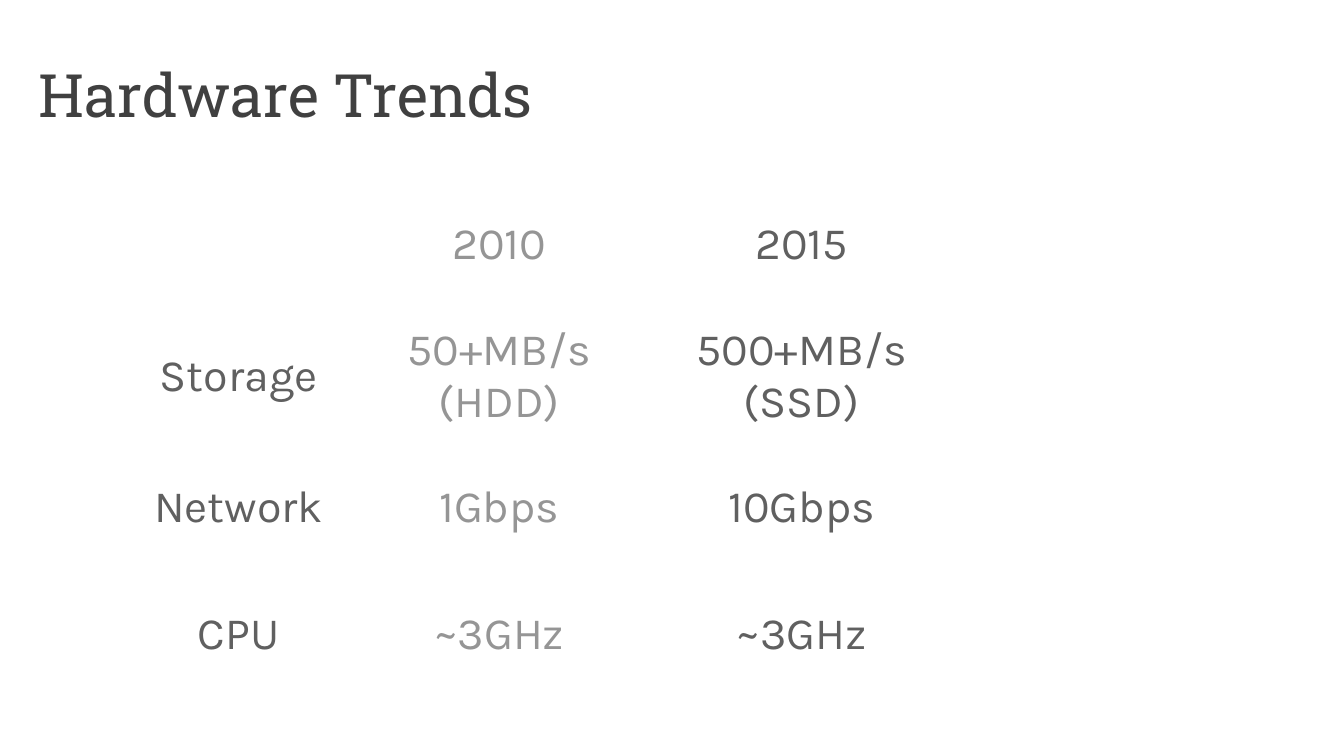
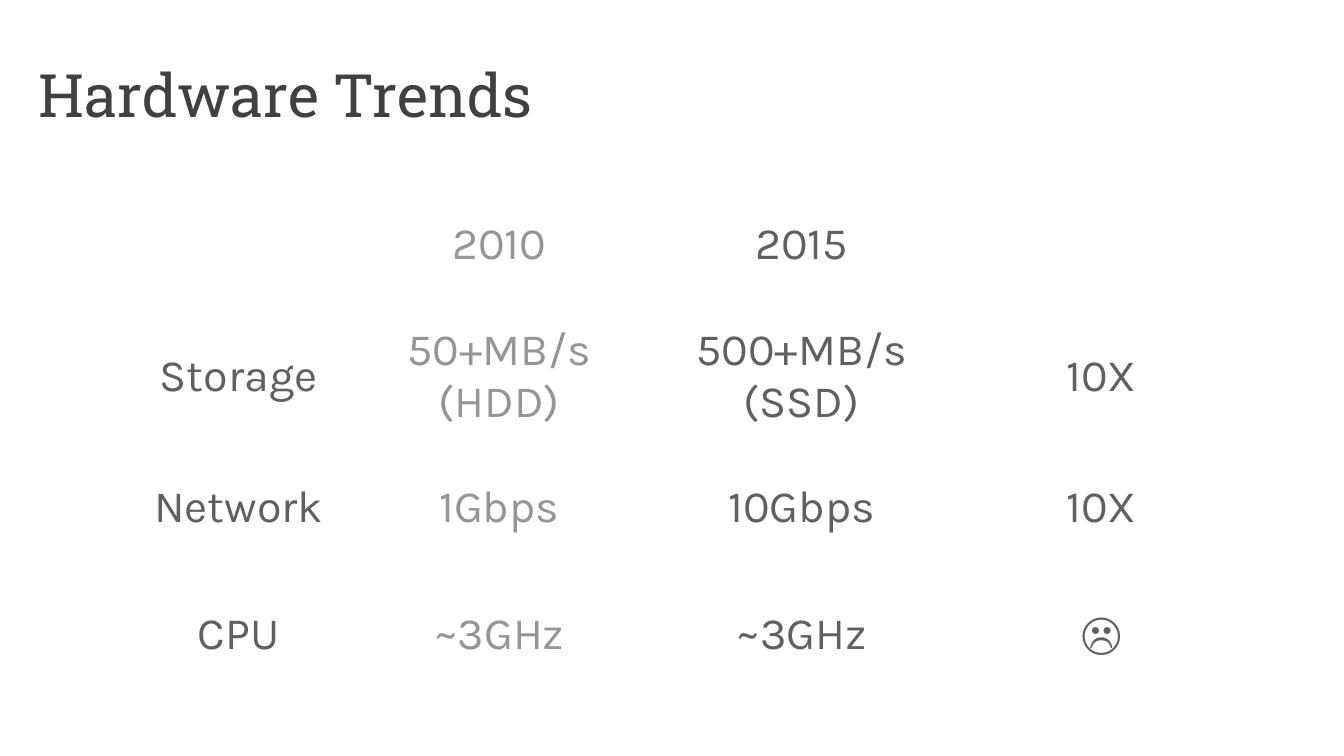
"""Build two slides that compare hardware speeds in 2010 and 2015."""
from dataclasses import dataclass

from pptx import Presentation
from pptx.dml.color import RGBColor
from pptx.enum.text import MSO_ANCHOR, PP_ALIGN
from pptx.util import Inches, Pt

MIDDLE = MSO_ANCHOR.MIDDLE
LEFT, CENTER = PP_ALIGN.LEFT, PP_ALIGN.CENTER


@dataclass(frozen=True)
class Theme:
    title_font: str = "Roboto Slab"
    body_font: str = "Karla"
    title_size: int = 32
    body_size: int = 24
    background: str = "FFFFFF"
    title: str = "404040"
    body: str = "606060"
    past: str = "959595"


THEME = Theme()
COLUMN_WIDTHS = [1.61, 2.27, 2.23, 2.23]
ROW_HEIGHTS = [0.94, 1.02, 0.94, 0.94]
COLUMN_COLORS = [THEME.body, THEME.past, THEME.body, THEME.body]
TRENDS = [
    ["", "2010", "2015"],
    ["Storage", "50+MB/s\n(HDD)", "500+MB/s\n(SSD)"],
    ["Network", "1Gbps", "10Gbps"],
    ["CPU", "~3GHz", "~3GHz"],
]
GAINS_BY_SLIDE = [["", "", "", ""], ["", "10X", "10X", "☹"]]


def write(frame, text, font, size, color, align):
    frame.text = text
    for paragraph in frame.paragraphs:
        paragraph.alignment = align
        for run in paragraph.runs:
            run.font.name = font
            run.font.size = Pt(size)
            run.font.bold = False
            run.font.color.rgb = RGBColor.from_string(color)


prs = Presentation()
prs.slide_width = Inches(10)
prs.slide_height = Inches(10 * 9 / 16)

for gains in GAINS_BY_SLIDE:
    slide = prs.slides.add_slide(prs.slide_layouts[6])
    slide.background.fill.solid()
    slide.background.fill.fore_color.rgb = RGBColor.from_string(THEME.background)

    heading = slide.shapes.add_textbox(
        Inches(0.19), Inches(0.23), Inches(9.68), Inches(0.94)
    ).text_frame
    heading.word_wrap = True
    heading.vertical_anchor = MIDDLE
    write(heading, "Hardware Trends", THEME.title_font, THEME.title_size,
          THEME.title, LEFT)

    comparison = slide.shapes.add_table(
        len(ROW_HEIGHTS), len(COLUMN_WIDTHS), Inches(0.97), Inches(1.35),
        Inches(sum(COLUMN_WIDTHS)), Inches(sum(ROW_HEIGHTS))
    ).table
    comparison.first_row = False
    comparison.horz_banding = False
    for column, width in zip(comparison.columns, COLUMN_WIDTHS):
        column.width = Inches(width)

    for row, height, trend, gain in zip(comparison.rows, ROW_HEIGHTS, TRENDS, gains):
        row.height = Inches(height)
        for cell, entry, color in zip(row.cells, trend + [gain], COLUMN_COLORS):
            cell.fill.background()
            cell.vertical_anchor = MIDDLE
            write(cell.text_frame, entry, THEME.body_font, THEME.body_size,
                  color, CENTER)

prs.save("out.pptx")
